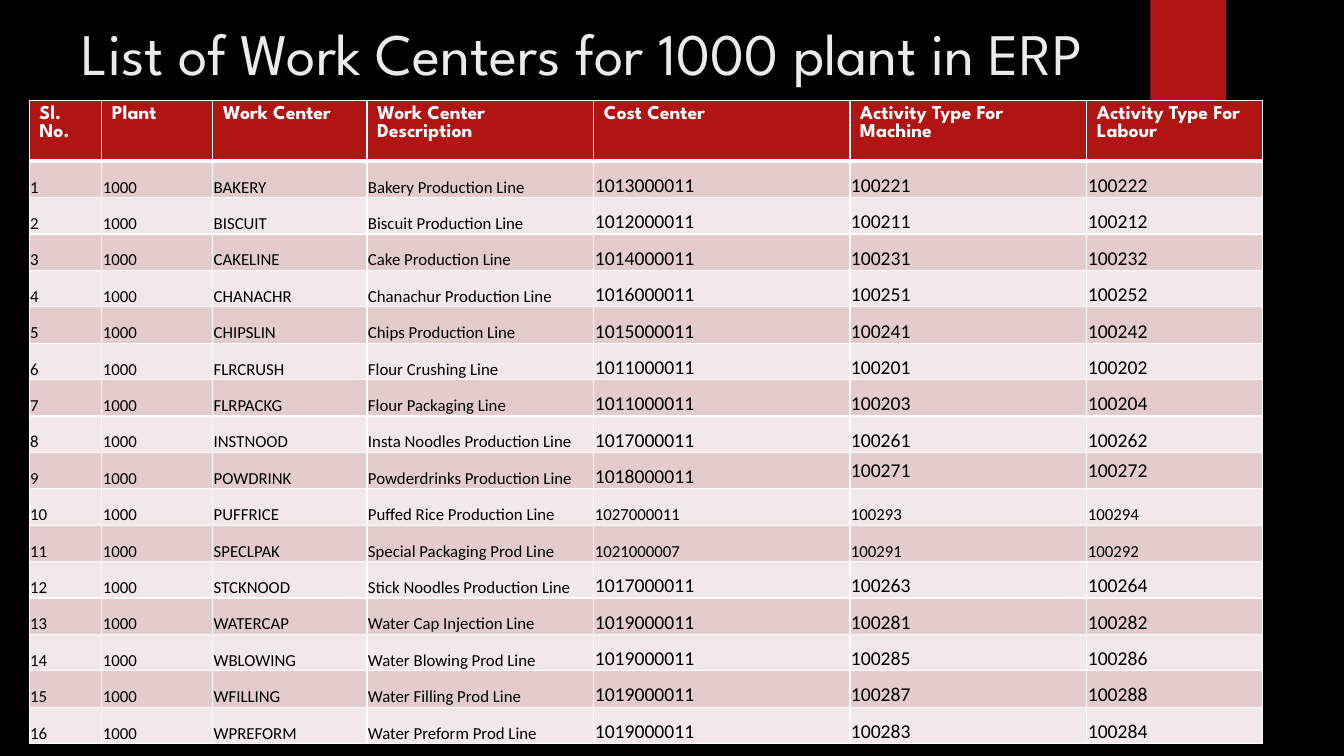
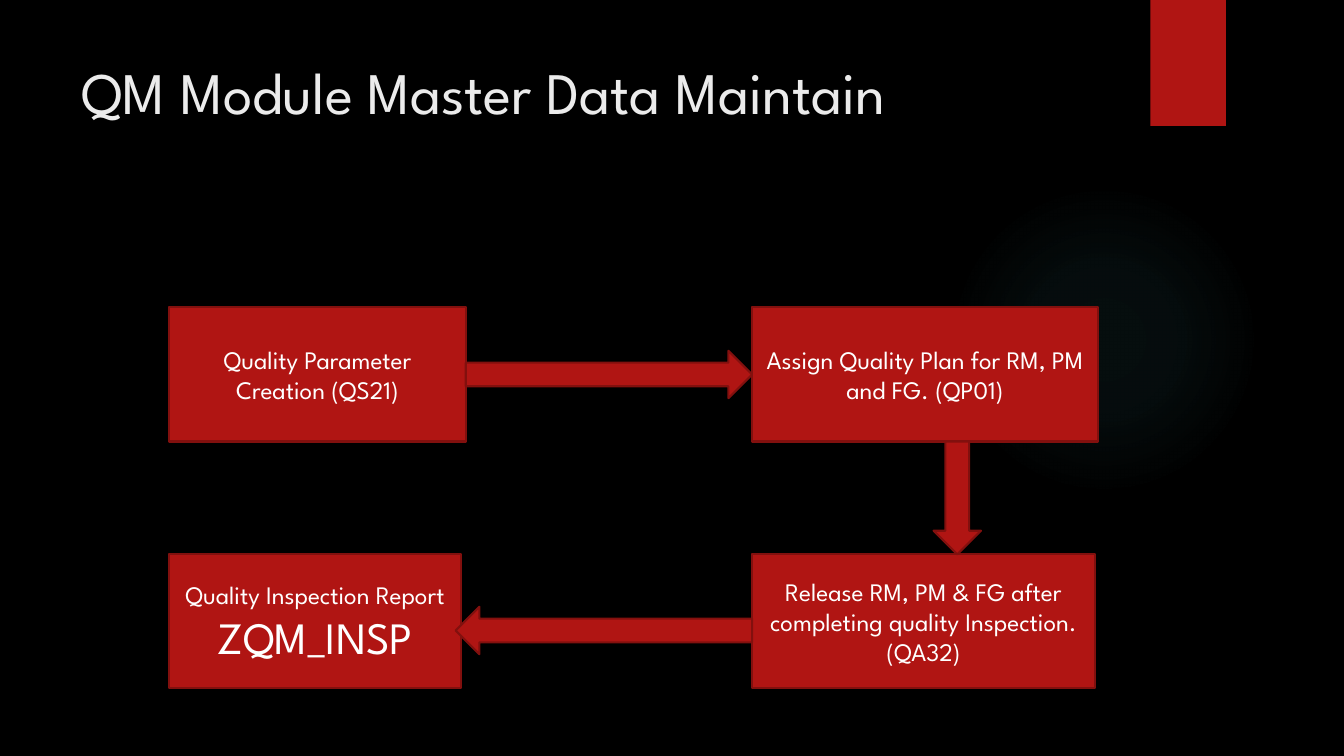
from pptx import Presentation
from pptx.dml.color import RGBColor
from pptx.enum.shapes import MSO_SHAPE
from pptx.enum.text import MSO_ANCHOR, PP_ALIGN
from pptx.oxml import parse_xml
from pptx.oxml.ns import nsdecls
from pptx.util import Inches, Pt

BLACK = RGBColor(0x00, 0x00, 0x00)
WHITE = RGBColor(0xFF, 0xFF, 0xFF)
TITLE_GREY = RGBColor(0xEB, 0xEB, 0xEB)
RED = RGBColor(0xB0, 0x15, 0x13)
DARK_RED = RGBColor(0x82, 0x10, 0x0E)
GLOW_TEAL = RGBColor(0x50, 0xB9, 0xC1)
ROW_TINTS = (RGBColor(0xE4, 0xCC, 0xCC), RGBColor(0xF2, 0xE8, 0xE7))

HEADING_FONT = "League Spartan"
TABLE_FONT = "Calibri"

OVAL = MSO_SHAPE.OVAL
RECTANGLE = MSO_SHAPE.RECTANGLE
PROCESS = MSO_SHAPE.FLOWCHART_PROCESS
RIGHT_ARROW = MSO_SHAPE.RIGHT_ARROW
DOWN_ARROW = MSO_SHAPE.DOWN_ARROW
LEFT_ARROW = MSO_SHAPE.LEFT_ARROW
TOP, MIDDLE, BOTTOM = MSO_ANCHOR.TOP, MSO_ANCHOR.MIDDLE, MSO_ANCHOR.BOTTOM
CENTER = PP_ALIGN.CENTER

PLANT = "1000"
HEADERS = ("Sl. No.", "Plant", "Work Center", "Work Center Description",
           "Cost Center", "Activity Type For Machine", "Activity Type For Labour")
COLUMN_WIDTHS = (0.72, 1.1, 1.53, 2.25, 2.54, 2.35, 1.74)
FIRST_CODE_COLUMN = 4
FIRST_ACTIVITY_COLUMN = 5
SMALL_CODE_ROWS = (10, 11)
MIDDLE_ACTIVITY_ROW = 9
# Name, description, cost center, machine activity; labour activity is the next number.
WORK_CENTERS = (
    ("BAKERY", "Bakery Production Line", 1013000011, 100221),
    ("BISCUIT", "Biscuit Production Line", 1012000011, 100211),
    ("CAKELINE", "Cake Production Line", 1014000011, 100231),
    ("CHANACHR", "Chanachur Production Line", 1016000011, 100251),
    ("CHIPSLIN", "Chips Production Line", 1015000011, 100241),
    ("FLRCRUSH", "Flour Crushing Line", 1011000011, 100201),
    ("FLRPACKG", "Flour Packaging Line", 1011000011, 100203),
    ("INSTNOOD", "Insta Noodles Production Line", 1017000011, 100261),
    ("POWDRINK", "Powderdrinks Production Line", 1018000011, 100271),
    ("PUFFRICE", "Puffed Rice Production Line", 1027000011, 100293),
    ("SPECLPAK", "Special Packaging Prod Line", 1021000007, 100291),
    ("STCKNOOD", "Stick Noodles Production Line", 1017000011, 100263),
    ("WATERCAP", "Water Cap Injection Line", 1019000011, 100281),
    ("WBLOWING", "Water Blowing Prod Line", 1019000011, 100285),
    ("WFILLING", "Water Filling Prod Line", 1019000011, 100287),
    ("WPREFORM", "Water Preform Prod Line", 1019000011, 100283),
)


def style_paragraph(para, font_name, size, color, bold=False):
    font = para.font
    font.name, font.size, font.bold = font_name, Pt(size), bold
    font.color.rgb = color


def add_red_shape(page, kind, left, top, width, height, outlined=True):
    shape = page.shapes.add_shape(
        kind, Inches(left), Inches(top), Inches(width), Inches(height))
    shape.shadow.inherit = False
    shape.fill.solid()
    shape.fill.fore_color.rgb = RED
    if outlined:
        shape.line.color.rgb = DARK_RED
        shape.line.width = Pt(1.5)
    else:
        shape.line.fill.background()
    return shape


def add_glow(page, left, top, size):
    """Add a faint round light that fades out from its centre."""
    glow = page.shapes.add_shape(
        OVAL, Inches(left), Inches(top), Inches(size), Inches(size))
    glow.shadow.inherit = False
    glow.line.fill.background()
    glow.fill.background()
    stops = "".join(
        f'<a:gs pos="{position * 1000}"><a:srgbClr val="{GLOW_TEAL}">'
        f'<a:alpha val="{opacity * 1000}"/></a:srgbClr></a:gs>'
        for position, opacity in ((0, 7), (36, 6), (69, 0)))
    gradient = parse_xml(
        f'<a:gradFill {nsdecls("a")}><a:gsLst>{stops}</a:gsLst><a:path path="circle">'
        '<a:fillToRect l="50000" t="50000" r="50000" b="50000"/></a:path></a:gradFill>')
    properties = glow.element.spPr
    properties.replace(properties.find("{*}noFill"), gradient)


def add_ribbon(page, left, top, width, height):
    ribbon = add_red_shape(page, RECTANGLE, left, top, width, height, outlined=False)
    shadow = parse_xml(
        f'<a:outerShdw {nsdecls("a")} blurRad="{Pt(3)}" dist="{Pt(2)}" dir="5400000">'
        f'<a:srgbClr val="{BLACK}"><a:alpha val="45000"/></a:srgbClr></a:outerShdw>')
    ribbon.element.spPr.find("{*}effectLst").append(shadow)


def add_page(deck, title, left, top, width, height):
    """Add a black page with glow, ribbon and a title in the given box."""
    page = deck.slides.add_slide(deck.slide_layouts[6])
    page.background.fill.solid()
    page.background.fill.fore_color.rgb = BLACK
    add_glow(page, 9.41, 1.83, 3.08)
    add_ribbon(page, 11.41, 0, 0.75, 1.25)
    box = page.shapes.add_textbox(
        Inches(left), Inches(top), Inches(width), Inches(height))
    box.text_frame.word_wrap = True
    box.text_frame.vertical_anchor = TOP
    para = box.text_frame.paragraphs[0]
    para.text = title
    style_paragraph(para, HEADING_FONT, 42, TITLE_GREY)
    return page


def set_borders(cell, top=1, bottom=1):
    """Draw white cell borders; call before the cell gets its fill."""
    properties = cell._tc.get_or_add_tcPr()
    for side, width in (("L", 1), ("R", 1), ("T", top), ("B", bottom)):
        properties.append(parse_xml(
            f'<a:ln{side} {nsdecls("a")} w="{Pt(width)}"><a:solidFill>'
            f'<a:srgbClr val="{WHITE}"/></a:solidFill></a:ln{side}>'))


def fill_cell(cell, text, color):
    cell.text = text
    cell.fill.solid()
    cell.fill.fore_color.rgb = color
    return cell.text_frame.paragraphs[0]


def fill_header(table):
    for cell, text in zip(table.rows[0].cells, HEADERS):
        set_borders(cell, bottom=3)
        style_paragraph(fill_cell(cell, text, RED), HEADING_FONT, 14, WHITE, bold=True)


def fill_work_center(table, number, work_center):
    name, description, cost_center, machine = work_center
    values = (number, PLANT, name, description, cost_center, machine, machine + 1)
    tint = ROW_TINTS[(number - 1) % 2]
    for column, value in enumerate(values):
        cell = table.cell(number, column)
        set_borders(cell, top=3 if number == 1 else 1)
        large = column >= FIRST_CODE_COLUMN and number not in SMALL_CODE_ROWS
        style_paragraph(fill_cell(cell, str(value), tint),
                        TABLE_FONT, 14 if large else 12, BLACK)
        cell.margin_left = cell.margin_right = cell.margin_top = Inches(0.01)
        cell.margin_bottom = 0
        centred = number == MIDDLE_ACTIVITY_ROW and column >= FIRST_ACTIVITY_COLUMN
        cell.vertical_anchor = MIDDLE if centred else BOTTOM


def add_work_center_table(page, left, top, height):
    header_height = 0.6
    row_height = (height - header_height) / len(WORK_CENTERS)
    table = page.shapes.add_table(
        len(WORK_CENTERS) + 1, len(HEADERS), Inches(left), Inches(top),
        Inches(sum(COLUMN_WIDTHS)), Inches(height)).table
    for column, width in zip(table.columns, COLUMN_WIDTHS):
        column.width = Inches(width)
    for row in table.rows:
        row.height = Inches(row_height)
    table.rows[0].height = Inches(header_height)
    fill_header(table)
    for number, work_center in enumerate(WORK_CENTERS, start=1):
        fill_work_center(table, number, work_center)


def add_step(page, left, top, width, height, *lines):
    """Add a process box; each line is a text and its size."""
    step = add_red_shape(page, PROCESS, left, top, width, height)
    frame = step.text_frame
    frame.word_wrap = True
    frame.vertical_anchor = MIDDLE
    for index, (text, size) in enumerate(lines):
        para = frame.add_paragraph() if index else frame.paragraphs[0]
        para.text = text
        para.alignment = CENTER
        style_paragraph(para, HEADING_FONT, size, WHITE)


def add_quality_flow(page, left, top, width, height):
    """Add four steps in the corners of the box, joined clockwise by arrows."""
    step_height, arrow_size = 1.33, 0.47
    right_column = left + width - 3.43
    lower_row = top + height - step_height
    arrow_offset = (step_height - arrow_size) / 2
    step_bottom = top + step_height

    add_step(page, left, top, 2.94, step_height,
             ("Quality Parameter Creation (QS21)", 18))
    add_step(page, right_column, top, 3.43, step_height,
             ("Assign Quality Plan for RM, PM and FG. (QP01)", 18))
    add_step(page, right_column, lower_row, 3.4, step_height,
             ("Release RM, PM & FG after completing quality Inspection. (QA32)", 18))
    add_step(page, left, lower_row, 2.89, step_height,
             ("Quality Inspection Report", 18), ("ZQM_INSP", 32))

    add_red_shape(page, RIGHT_ARROW, left + 2.94, top + arrow_offset,
                  right_column - left - 2.94, arrow_size)
    add_red_shape(page, DOWN_ARROW, right_column + 1.8, step_bottom,
                  arrow_size, lower_row - step_bottom)
    add_red_shape(page, LEFT_ARROW, left + 2.84, lower_row + 0.52,
                  right_column - left - 2.84, arrow_size)


def main():
    deck = Presentation()
    deck.slide_width, deck.slide_height = Inches(13.33), Inches(7.5)

    page = add_page(deck, "List of Work Centers for 1000 plant in ERP",
                    0.71, 0.12, 12.24, 0.88)
    add_work_center_table(page, 0.29, 1, 6.38)

    page = add_page(deck, "QM Module Master Data Maintain", 0.71, 0.5, 10.29, 1.53)
    add_quality_flow(page, 1.68, 3.05, 9.21, 3.78)

    deck.save("out.pptx")


if __name__ == "__main__":
    main()
